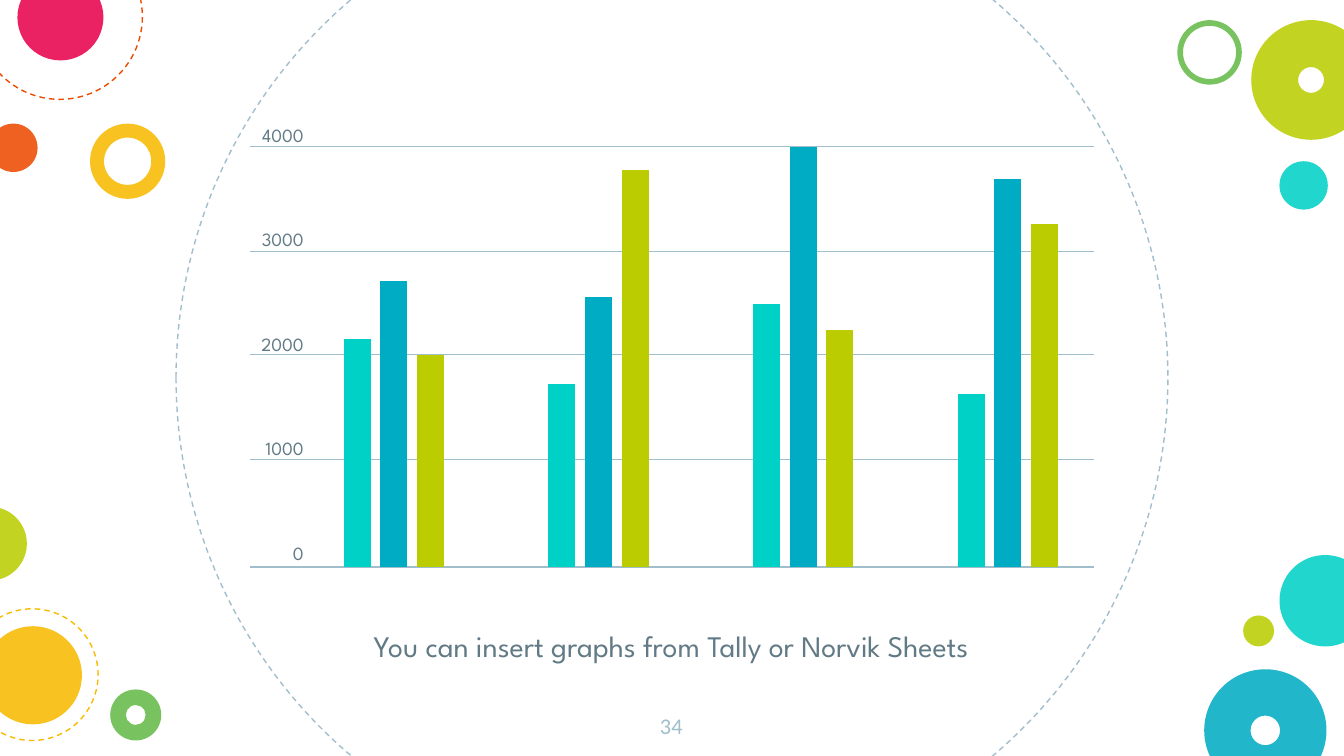
from lxml import etree
from pptx import Presentation
from pptx.chart.data import CategoryChartData
from pptx.dml.color import RGBColor
from pptx.enum import chart as charts, dml, shapes, text
from pptx.oxml import parse_xml
from pptx.oxml.ns import nsdecls, qn
from pptx.util import Inches, Pt

TEAL = RGBColor(0x00, 0xD1, 0xC6)
BLUE = RGBColor(0x00, 0xAC, 0xC3)
LIME = RGBColor(0xBB, 0xCD, 0x00)
YELLOW = RGBColor(0xF8, 0xBB, 0x00)
ORANGE = RGBColor(0xED, 0x4A, 0x00)
GREEN = RGBColor(0x65, 0xBB, 0x48)
PINK = RGBColor(0xE8, 0x00, 0x4C)
MIST = RGBColor(0xA1, 0xBE, 0xCC)
SLATE = RGBColor(0x61, 0x7A, 0x86)

FONT = "League Spartan"
OPACITY = 87000

# left, top, diameter, colour
RINGS = [
    (1.31, -0.88, 7.38, MIST),
    (-0.17, -0.49, 1.23, ORANGE),
    (-0.25, 4.53, 0.98, YELLOW),
]
DISCS = [
    (9.52, 4.13, 0.68, TEAL),
    (9.25, 4.58, 0.23, LIME),
    (-0.08, 0.92, 0.36, ORANGE),
    (0.13, -0.19, 0.64, PINK),
    (-0.12, 4.66, 0.73, YELLOW),
    (-0.35, 3.77, 0.55, LIME),
    (9.52, 1.2, 0.36, TEAL),
]
# left, top, diameter, colour, thickness
DONUTS = [
    (0.67, 0.92, 0.56, YELLOW, 0.186),
    (8.96, 4.98, 0.91, BLUE, 0.379),
    (8.76, 0.15, 0.48, GREEN, 0.088),
    (9.31, 0.15, 0.89, LIME, 0.392),
    (0.82, 5.13, 0.38, GREEN, 0.306),
]

GRID_LEFT, GRID_RIGHT = 1.86, 8.14
GRID_TOPS = [1.09, 1.87, 2.64, 3.42, 4.22]
SCALE = ["4000", "3000", "2000", "1000", "0"]
SERIES = [
    ("A", TEAL, (2170, 1740, 2500, 1650)),
    ("B", BLUE, (2720, 2570, 4000, 3690)),
    ("C", LIME, (2020, 3780, 2250, 3260)),
]


def add_circle(slide, left, top, size, colour, thickness=None, dashed=False):
    """Draw a disc, a donut when thickness is given, or a dashed ring."""
    kind = shapes.MSO_SHAPE.OVAL if thickness is None else shapes.MSO_SHAPE.DONUT
    circle = slide.shapes.add_shape(
        kind, Inches(left), Inches(top), Inches(size), Inches(size))
    circle.shadow.inherit = False
    if thickness is not None:
        circle.adjustments[0] = thickness
    if dashed:
        circle.fill.background()
        circle.line.color.rgb = colour
        circle.line.width = Pt(0.75)
        circle.line.dash_style = dml.MSO_LINE.DASH
    else:
        circle.fill.solid()
        circle.fill.fore_color.rgb = colour
        circle.line.fill.background()
        tint = circle._element.spPr.find(".//" + qn("a:srgbClr"))
        etree.SubElement(tint, qn("a:alpha")).set("val", str(OPACITY))


def add_grid_line(slide, top):
    line = slide.shapes.add_connector(
        shapes.MSO_CONNECTOR.STRAIGHT,
        Inches(GRID_LEFT), Inches(top), Inches(GRID_RIGHT), Inches(top))
    line.line.color.rgb = MIST
    line.line.width = Pt(0.75)
    etree.SubElement(line._element.spPr, qn("a:effectLst"))


def write_text(box, lines, *, size, colour, font=FONT, inset=0.1, gap=0,
               align=text.PP_ALIGN.CENTER):
    """Fill a box with one paragraph per line; gap is the space between them."""
    frame = box.text_frame
    frame.word_wrap = True
    frame.auto_size = text.MSO_AUTO_SIZE.NONE
    frame.vertical_anchor = text.MSO_ANCHOR.TOP
    frame.margin_left = frame.margin_right = Inches(inset)
    frame.margin_top = frame.margin_bottom = Inches(inset)
    for index, line in enumerate(lines):
        para = frame.add_paragraph() if index else frame.paragraphs[0]
        para.alignment = align
        para.line_spacing = 1.0
        para.space_before = Pt(gap if index else 0)
        span = para.add_run()
        span.text = line
        span.font.name = font
        span.font.size = Pt(size)
        span.font.color.rgb = colour


def add_text(slide, lines, left, top, width, height, **style):
    box = slide.shapes.add_textbox(
        Inches(left), Inches(top), Inches(width), Inches(height))
    write_text(box, lines, **style)


def add_bars(slide, left, top, width, height):
    data = CategoryChartData()
    data.categories = ["1", "2", "3", "4"]
    for name, _, values in SERIES:
        data.add_series(name, values)
    chart = slide.shapes.add_chart(
        charts.XL_CHART_TYPE.COLUMN_CLUSTERED, Inches(left), Inches(top),
        Inches(width), Inches(height), data).chart
    chart.has_title = False
    chart.has_legend = False
    chart.font.name = FONT
    chart.font.size = Pt(10)
    chart.font.color.rgb = SLATE
    chart.value_axis.minimum_scale = 0
    chart.value_axis.maximum_scale = 4000
    chart.value_axis.major_unit = 1000
    chart.value_axis.has_major_gridlines = False
    chart.value_axis.visible = False
    chart.category_axis.visible = False

    plot = chart.plots[0]
    plot.vary_by_categories = False
    plot.gap_width = 388
    plot.overlap = -36
    for series, (_, colour, _) in zip(plot.series, SERIES):
        series.format.fill.solid()
        series.format.fill.fore_color.rgb = colour

    # The plot fills the whole frame, which stays transparent
    space = chart._chartSpace
    area = space.find(".//" + qn("c:plotArea"))
    for old in area.findall(qn("c:layout")):
        area.remove(old)
    area.insert(0, parse_xml(
        f'<c:layout {nsdecls("c")}><c:manualLayout>'
        '<c:layoutTarget val="inner"/><c:xMode val="edge"/><c:yMode val="edge"/>'
        '<c:x val="0"/><c:y val="0"/><c:w val="1"/><c:h val="1"/>'
        '</c:manualLayout></c:layout>'))
    space.find(qn("c:chart")).addnext(parse_xml(
        f'<c:spPr {nsdecls("c", "a")}><a:noFill/>'
        '<a:ln><a:noFill/></a:ln></c:spPr>'))


def add_caption(slide, line):
    """Use the layout's body placeholder and drop its empty title."""
    title = slide.shapes.title._element
    title.getparent().remove(title)
    caption = slide.placeholders[1]
    caption.left, caption.top = Inches(1.36), Inches(4.57)
    caption.width, caption.height = Inches(7.27), Inches(0.57)
    write_text(caption, [line], size=16, colour=SLATE)


def main():
    # A 16:9 page
    deck = Presentation()
    deck.slide_width, deck.slide_height = Inches(10), Inches(10 * 9 / 16)
    page = deck.slides.add_slide(deck.slide_layouts[2])

    # Decoration
    for ring in RINGS:
        add_circle(page, *ring, dashed=True)
    for circle in DISCS + DONUTS:
        add_circle(page, *circle)

    # Caption and page number
    add_caption(page, "You can insert graphs from Tally or Norvik Sheets")
    add_text(page, ["34"], 4.74, 5.2, 0.51, 0.43,
             size=12, colour=MIST, font="Calibri")

    # Chart with its scale
    for top in GRID_TOPS:
        add_grid_line(page, top)
    add_text(page, SCALE, GRID_LEFT, 0.92, 0.4, 3.31, size=10, colour=SLATE,
             inset=0, gap=44, align=text.PP_ALIGN.RIGHT)
    add_bars(page, 2.17, GRID_TOPS[0], 6.09, GRID_TOPS[-1] - GRID_TOPS[0])

    deck.save("out.pptx")


if __name__ == "__main__":
    main()
